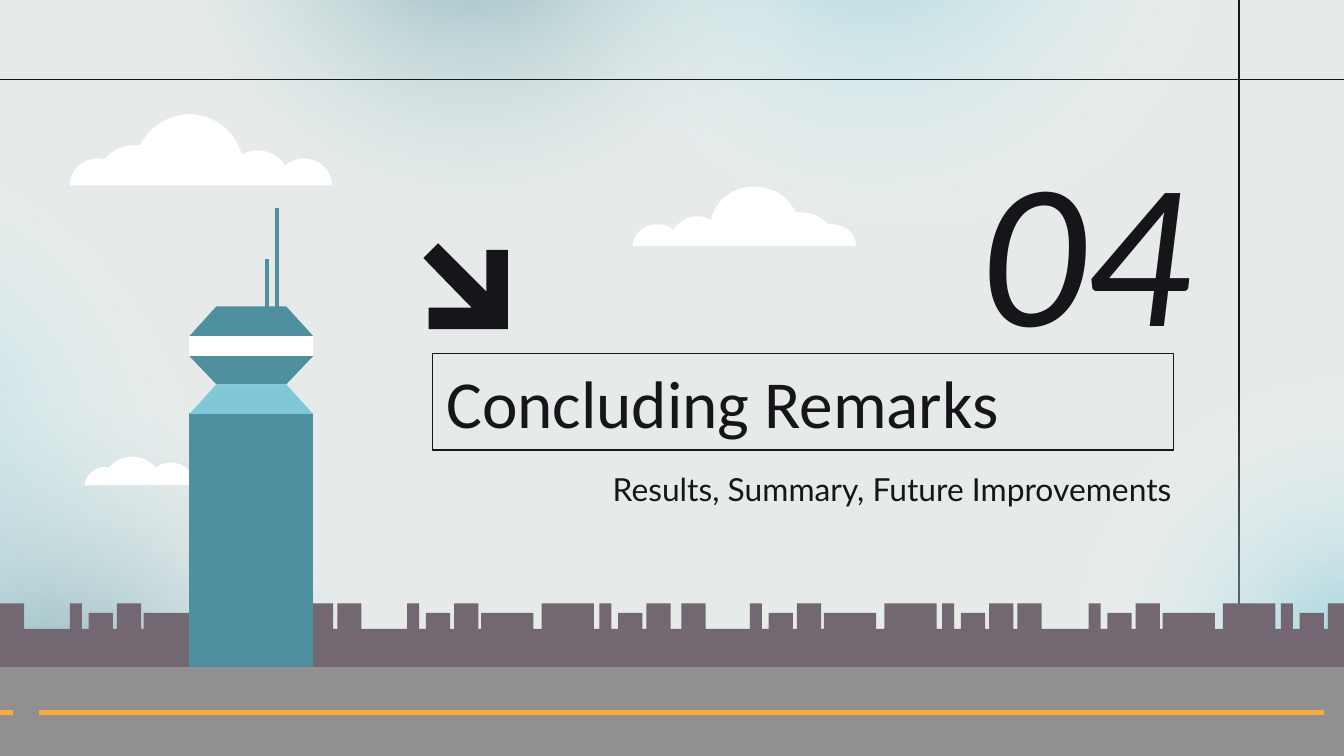
"""Build the closing section slide with a control tower above a city road."""
from dataclasses import dataclass

import pptx
import pptx.dml.color
import pptx.enum.shapes
import pptx.enum.text
import pptx.oxml
import pptx.oxml.ns
import pptx.util
from pptx.util import Inches

WIDTH = 10
HEIGHT = WIDTH * 9 / 16
INK, TEAL, SKY, WHITE = "161519", "4E909E", "80C8D8", "FFFFFF"
CITY, ROAD, DASH = "736871", "918F8F", "F7AC3B"
ALIGN = pptx.enum.text.PP_ALIGN


@dataclass
class Glow:
    left: float
    top: float
    rotation: float
    color: str
    opacity: int = 68


@dataclass
class Outline:
    color: str
    points: list


@dataclass
class Line:
    start: tuple
    end: tuple
    color: str = INK
    width: float = 0.75


GLOWS = [
    Glow(3.88, -3.08, 42, SKY),
    Glow(0.9, -3.06, 42, TEAL),
    Glow(6.11, 4.36, 356.7, TEAL, 81),
    Glow(7.42, 2.54, 356.7, SKY),
    Glow(-3.65, 1.14, 33.5, SKY),
    Glow(-2.18, 3.04, 33.5, TEAL),
]
VERTICAL_GUIDE = Line((9.22, HEIGHT), (9.22, 0))
HORIZONTAL_GUIDE = Line((WIDTH, 0.59), (0, 0.59))
DASHES = [Line((0.29, 5.3), (9.85, 5.3), DASH, 2.56), Line((0, 5.3), (0.1, 5.3), DASH, 2.56)]

CLOUDS = [
    [(2.26, 1.18), (2.21, 1.18, 2.16, 1.2, 2.12, 1.23), (2.05, 1.12, 1.91, 1.09, 1.8, 1.15),
     (1.75, 0.98, 1.61, 0.87, 1.44, 0.85), (1.28, 0.84, 1.12, 0.93, 1.04, 1.08),
     (1.03, 1.08, 1.01, 1.08, 1, 1.08), (0.91, 1.08, 0.83, 1.12, 0.77, 1.19),
     (0.76, 1.18, 0.74, 1.18, 0.73, 1.18), (0.61, 1.18, 0.52, 1.27, 0.52, 1.38),
     (2.47, 1.38), (2.47, 1.27, 2.38, 1.18, 2.26, 1.18)],
    [(4.89, 1.67), (4.94, 1.67, 4.98, 1.68, 5.01, 1.71), (5.05, 1.65, 5.12, 1.61, 5.19, 1.61),
     (5.22, 1.61, 5.26, 1.62, 5.29, 1.64), (5.32, 1.5, 5.44, 1.4, 5.59, 1.39),
     (5.73, 1.38, 5.86, 1.45, 5.92, 1.58), (5.94, 1.58, 5.95, 1.58, 5.96, 1.58),
     (6.03, 1.58, 6.11, 1.61, 6.16, 1.67), (6.17, 1.67, 6.18, 1.67, 6.19, 1.67),
     (6.29, 1.67, 6.37, 1.74, 6.37, 1.83), (4.71, 1.83), (4.71, 1.74, 4.79, 1.67, 4.89, 1.67)],
    [(1.59, 3.61), (0.63, 3.61), (0.64, 3.52, 0.73, 3.46, 0.81, 3.48),
     (0.9, 3.37, 1.07, 3.37, 1.16, 3.48), (1.25, 3.41, 1.37, 3.44, 1.43, 3.53),
     (1.5, 3.5, 1.57, 3.54, 1.59, 3.61)],
]

ROOF, LOW_ROOF, STREET, CITY_BASE = 4.49, 4.56, 4.68, 4.97
BLOCK_STARTS = [(0.52, 1.99), (3.03, 2.04), (5.58, 1.99), (8.1, 1.99)]
BLOCK = [(0, 0.09, ROOF), (0.14, 0.32, LOW_ROOF), (0.35, 0.53, ROOF), (0.55, 0.94, LOW_ROOF),
         (1, 1.39, ROOF), (1.43, 1.52, ROOF), (1.57, 1.75, LOW_ROOF), (1.78, 1.96, ROOF)]


def box(left: float, top: float, right: float, bottom: float) -> list:
    """Return the corners of an upright rectangle."""
    return [(left, top), (left, bottom), (right, bottom), (right, top)]


def flare(top: float, bottom: float, top_inset: float, bottom_inset: float) -> list:
    """Return the corners of a tower tier with sloping sides."""
    return [(1.41 + top_inset, top), (1.41 + bottom_inset, bottom),
            (2.33 - bottom_inset, bottom), (2.33 - top_inset, top)]


TOWER = [
    Outline(WHITE, box(1.41, 2.5, 2.33, 2.65)),
    Outline(TEAL, box(1.41, 3.07, 2.33, 4.96)),
    Outline(TEAL, flare(2.65, 2.86, 0, 0.2)),
    Outline(TEAL, flare(2.28, 2.5, 0.2, 0)),
    Outline(SKY, flare(2.86, 3.08, 0.2, 0)),
    Outline(TEAL, box(2.05, 1.55, 2.08, 2.38)),
    Outline(TEAL, box(1.97, 1.93, 2, 2.38)),
]
ARROW = Outline(INK, [(3.26, 1.81), (3.15, 1.92), (3.51, 2.29), (3.19, 2.29), (3.19, 2.45),
                      (3.78, 2.45), (3.78, 1.86), (3.62, 1.86), (3.62, 2.17)])


def rgb(value: str) -> pptx.dml.color.RGBColor:
    """Turn a hex string into a colour."""
    return pptx.dml.color.RGBColor.from_string(value)


def skyline() -> list:
    """Return the city outline made from the repeated block of buildings."""
    buildings = [(0, 0.18, ROOF)]
    for start, last in BLOCK_STARTS:
        buildings += [(start + left, min(start + right, WIDTH), roof)
                      for left, right, roof in BLOCK + [(last, last + 0.18, ROOF)]
                      if start + left < WIDTH]
    points = [(0, CITY_BASE)]
    for left, right, roof in buildings:
        points += [(left, STREET), (left, roof), (right, roof), (right, STREET)]
    return points + [(WIDTH, CITY_BASE)]


def flatten(segments: list, steps: int = 12) -> list:
    """Turn line ends and Bezier curves into plain points."""
    points = []
    for segment in segments:
        if len(segment) == 2:
            points.append(segment)
            continue
        x0, y0 = points[-1]
        x1, y1, x2, y2, x3, y3 = segment
        for step in range(1, steps + 1):
            t = step / steps
            a, b, c, d = (1 - t) ** 3, 3 * t * (1 - t) ** 2, 3 * t * t * (1 - t), t ** 3
            points.append((a * x0 + b * x1 + c * x2 + d * x3, a * y0 + b * y1 + c * y2 + d * y3))
    return points


def draw_glow(slide: pptx.slide.Slide, glow: Glow) -> None:
    """Draw an ellipse that fades out from its centre."""
    shape = slide.shapes.add_shape(pptx.enum.shapes.MSO_SHAPE.OVAL, Inches(glow.left),
                                   Inches(glow.top), Inches(5.22), Inches(4.6))
    shape.rotation = glow.rotation
    shape.shadow.inherit = False
    shape.line.fill.background()
    shape.fill.background()
    stops = "".join(
        f'<a:gs pos="{position}000"><a:srgbClr val="{color}"><a:alpha val="{opacity * 1000}"/>'
        "</a:srgbClr></a:gs>"
        for position, color, opacity in [(0, glow.color, glow.opacity), (58, WHITE, 0), (100, WHITE, 0)])
    gradient = pptx.oxml.parse_xml(
        f'<a:gradFill {pptx.oxml.ns.nsdecls("a")}><a:gsLst>{stops}</a:gsLst><a:path path="circle">'
        '<a:fillToRect l="50000" t="50000" r="50000" b="50000"/></a:path></a:gradFill>')
    properties = shape._element.spPr
    properties.replace(properties.find(pptx.oxml.ns.qn("a:noFill")), gradient)


def draw_outline(slide: pptx.slide.Slide, outline: Outline) -> None:
    """Draw a closed shape with a plain fill."""
    points = [(Inches(x), Inches(y)) for x, y in flatten(outline.points)]
    builder = slide.shapes.build_freeform(*points[0])
    builder.add_line_segments(points[1:], close=True)
    shape = builder.convert_to_shape()
    shape.shadow.inherit = False
    shape.fill.solid()
    shape.fill.fore_color.rgb = rgb(outline.color)
    shape.line.fill.background()


def draw_line(slide: pptx.slide.Slide, line: Line) -> None:
    """Draw a straight line without a shadow."""
    ends = [Inches(value) for value in line.start + line.end]
    connector = slide.shapes.add_connector(pptx.enum.shapes.MSO_CONNECTOR.STRAIGHT, *ends)
    connector.line.color.rgb = rgb(line.color)
    connector.line.width = pptx.util.Pt(line.width)
    connector._element.spPr.append(pptx.oxml.parse_xml(f'<a:effectLst {pptx.oxml.ns.nsdecls("a")}/>'))


def write_text(shape: pptx.shapes.base.BaseShape, text: str, *, place: tuple, size: float,
               font: str = "Calibri", align: ALIGN = ALIGN.RIGHT, italic: bool = False) -> None:
    """Place a shape in front and fill it with one formatted paragraph."""
    shape.left, shape.top, shape.width, shape.height = map(Inches, place)
    shape._element.getparent().append(shape._element)
    frame = shape.text_frame
    frame.word_wrap = True
    frame.auto_size = pptx.enum.text.MSO_AUTO_SIZE.NONE
    frame.vertical_anchor = pptx.enum.text.MSO_ANCHOR.MIDDLE
    frame.margin_left = frame.margin_right = frame.margin_top = frame.margin_bottom = Inches(0.1)
    paragraph = frame.paragraphs[0]
    paragraph.alignment = align
    paragraph.space_before = pptx.util.Pt(0)
    run = paragraph.add_run()
    run.text = text
    run.font.name, run.font.size, run.font.italic = font, pptx.util.Pt(size), italic
    run.font.color.rgb = rgb(INK)


def main() -> None:
    """Build the slide and save it."""
    presentation = pptx.Presentation()
    presentation.slide_width, presentation.slide_height = Inches(WIDTH), Inches(HEIGHT)
    slide = presentation.slides.add_slide(presentation.slide_layouts[0])
    slide.background.fill.solid()
    slide.background.fill.fore_color.rgb = rgb("E6EBE9")
    draw_line(slide, VERTICAL_GUIDE)
    for glow in GLOWS:
        draw_glow(slide, glow)
    draw_line(slide, HORIZONTAL_GUIDE)
    ground = [Outline(CITY, skyline()), Outline(ROAD, box(0, 4.96, WIDTH, HEIGHT))]
    clouds = [Outline(WHITE, cloud) for cloud in CLOUDS]
    for outline in ground + clouds + TOWER + [ARROW]:
        draw_outline(slide, outline)
    for dash in DASHES:
        draw_line(slide, dash)
    title, subtitle = slide.shapes.title, slide.placeholders[1]
    write_text(title, "Concluding Remarks", place=(3.22, 2.63, 5.51, 0.72), size=36, align=ALIGN.LEFT)
    title.line.color.rgb = rgb(INK)
    title.line.width = pptx.util.Pt(0.75)
    number = slide.shapes.add_textbox(0, 0, 0, 0)
    write_text(number, "04", place=(6.5, 1.23, 2.46, 1.17), size=111, italic=True)
    write_text(subtitle, "Results, Summary, Future Improvements",
               place=(4.26, 3.46, 4.56, 0.35), size=17, font="Lato")
    presentation.save("out.pptx")


if __name__ == "__main__":
    main()
